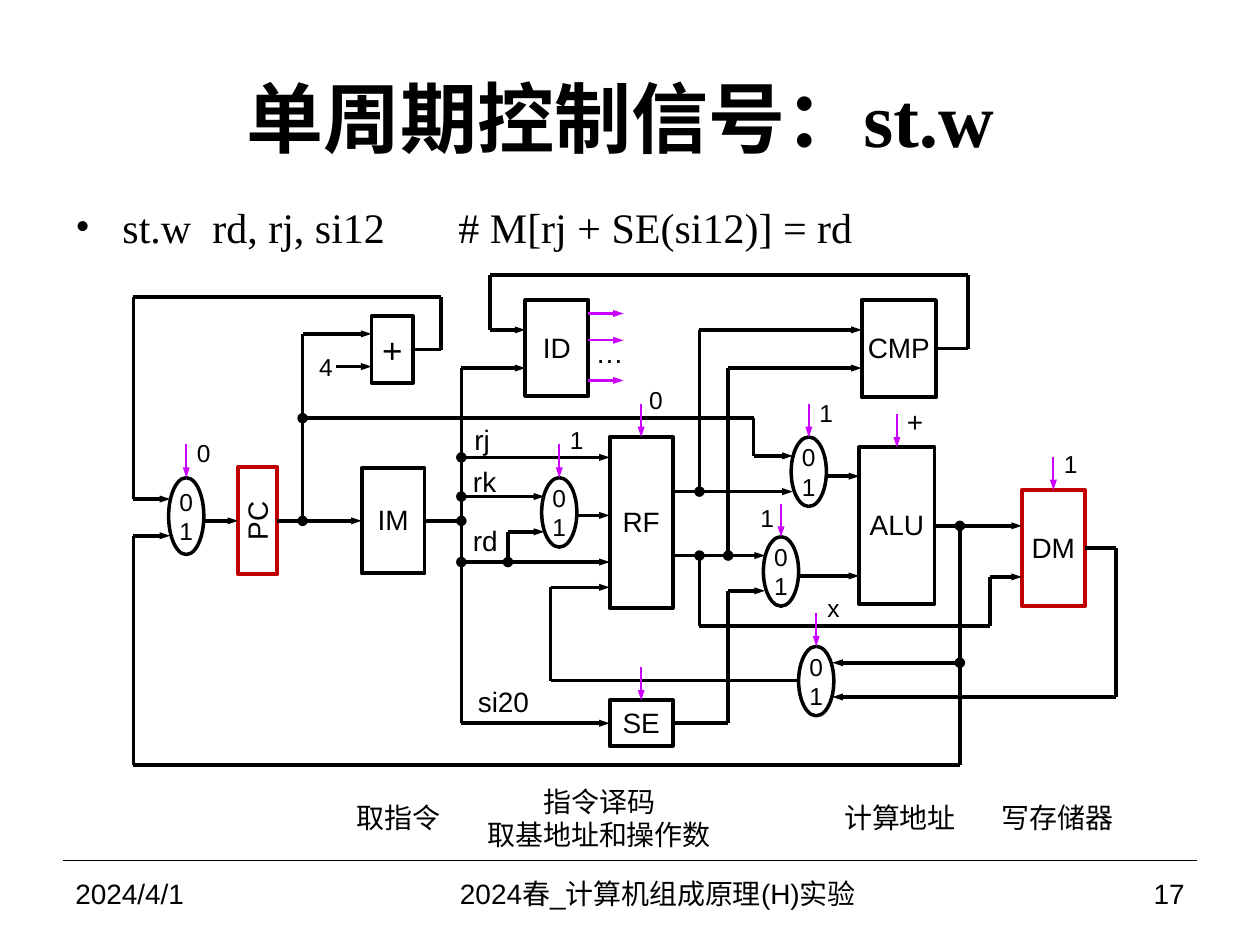
from dataclasses import dataclass
from itertools import pairwise
from typing import Optional

from lxml import etree
from pptx import Presentation
from pptx import util as u
from pptx.dml.color import RGBColor
from pptx.enum import shapes, text
from pptx.oxml.ns import qn

BLACK = RGBColor(0x00, 0x00, 0x00)
STATE_RED = RGBColor(0xC0, 0x00, 0x00)
CONTROL_PURPLE = RGBColor(0xCC, 0x00, 0xFF)
TOP, LEFT, RIGHT = 0, 1, 3
ALIGN = text.PP_ALIGN
ARROW, DOT = "triangle", "oval"


@dataclass
class Part:
    """A block or multiplexer; lengths in cm."""
    name: str
    x: float
    y: float
    w: float
    h: float
    color: RGBColor = BLACK
    size: int = 16


@dataclass
class Wire:
    """A route through points in cm, optionally joined to a part at its ends."""
    points: list[tuple[float, float]]
    start_mark: Optional[str] = None
    end_mark: Optional[str] = ARROW
    source: Optional[str] = None
    target: Optional[str] = None


@dataclass
class Control:
    """A control signal entering a part from above; label offset from its tip."""
    target: str
    value: str = ""
    dx: float = 0.2
    dy: float = -0.8
    size: int = 14


@dataclass
class Label:
    words: str
    x: float
    y: float
    w: float
    size: int = 16
    align: ALIGN = ALIGN.CENTER


BLOCKS = [
    Part("PC", 4.8, 9.42, 0.79, 2.16, STATE_RED),
    Part("IM", 7.29, 9.44, 1.27, 2.12),
    Part("+", 7.49, 6.38, 0.84, 1.34, size=20),
    Part("ID", 10.59, 6.05, 1.27, 1.93),
    Part("RF", 12.29, 8.81, 1.27, 3.45),
    Part("SE", 12.29, 14.12, 1.27, 0.92),
    Part("CMP", 17.37, 6.05, 1.5, 1.96),
    Part("ALU", 17.32, 9.02, 1.52, 3.16),
    Part("DM", 20.6, 9.88, 1.27, 2.34, STATE_RED),
]
MUXES = [
    Part("next PC", 3.4, 9.63, 0.71, 1.55),
    Part("register", 10.92, 9.63, 0.71, 1.4),
    Part("operand A", 15.95, 8.81, 0.71, 1.4),
    Part("operand B", 15.39, 10.82, 0.71, 1.4),
    Part("write back", 16.1, 13.03, 0.71, 1.4),
]
WIRES = [
    # Fetch: next address, PC and instruction memory
    Wire([(8.33, 7.05), (8.89, 7.05), (8.89, 5.99), (2.69, 5.99), (2.69, 10.06), (3.43, 10.06)],
         source="+"),
    Wire([(4.11, 10.5), (4.8, 10.5)], target="PC"),
    Wire([(5.59, 10.5), (7.29, 10.5)], source="PC", target="IM"),
    Wire([(6.1, 10.5), (6.1, 6.73), (7.49, 6.73)], DOT),
    Wire([(6.78, 7.39), (7.49, 7.39)]),
    Wire([(6.1, 8.43), (15.19, 8.43), (15.19, 9.19), (15.98, 9.19)], DOT),
    # Decode: instruction bus and register numbers
    Wire([(8.56, 10.5), (9.3, 10.5)], end_mark=DOT, source="IM"),
    Wire([(9.3, 14.58), (9.3, 7.42), (10.59, 7.42)]),
    Wire([(9.3, 14.58), (12.29, 14.58)], target="SE"),
    Wire([(9.3, 9.22), (12.29, 9.22)], DOT),
    Wire([(9.3, 10.01), (10.97, 10.01)], DOT),
    Wire([(9.3, 11.33), (12.29, 11.33)], DOT),
    Wire([(10.24, 11.33), (10.24, 10.72), (10.97, 10.72)], DOT),
    Wire([(11.63, 10.39), (12.29, 10.39)]),
    # Operands
    Wire([(13.56, 9.91), (15.98, 9.91)]),
    Wire([(14.1, 9.91), (14.1, 6.65), (17.37, 6.65)], DOT),
    Wire([(13.56, 11.2), (15.42, 11.2)]),
    Wire([(14.68, 11.2), (14.68, 7.42), (17.37, 7.42)], DOT),
    Wire([(14.1, 11.2), (14.1, 12.62), (19.96, 12.62), (19.96, 11.63), (20.6, 11.63)], DOT),
    Wire([(13.56, 14.58), (14.68, 14.58), (14.68, 11.91), (15.42, 11.91)], source="SE"),
    Wire([(16.66, 9.6), (17.32, 9.6)]),
    Wire([(16.1, 11.61), (17.32, 11.61)]),
    # Results, write back and branch decision
    Wire([(18.84, 10.6), (20.6, 10.6)], source="ALU"),
    Wire([(19.35, 10.6), (19.35, 15.42), (2.69, 15.42), (2.69, 10.8), (3.43, 10.8)], DOT),
    Wire([(19.35, 13.36), (16.78, 13.36)], DOT),
    Wire([(21.87, 11.05), (22.5, 11.05), (22.5, 14.05), (16.78, 14.05)], source="DM"),
    Wire([(16.1, 13.72), (11.1, 13.72), (11.1, 11.84), (12.29, 11.84)]),
    Wire([(18.87, 7.03), (19.51, 7.03), (19.51, 5.54), (9.88, 5.54), (9.88, 6.65), (10.59, 6.65)],
         source="CMP"),
]
DECODER_OUTPUTS = [Wire([(11.86, y), (12.57, y)]) for y in (6.32, 6.86, 7.67)]
CONTROLS = [
    Control("next PC", "0"), Control("register", "1", dy=-1.07),
    Control("RF", "0", 0.15, -1.06), Control("SE"),
    Control("operand A", "1"), Control("operand B", "1", -0.43, -0.69),
    Control("ALU", "+", dy=-0.87, size=16), Control("DM", "1", dy=-0.84),
    Control("write back", "x", dy=-1.09),
]
LABELS = [
    Label("…", 11.99, 6.76, 0.6), Label("4", 6.43, 7.09, 0.28, 14),
    Label("rj", 9.45, 8.51, 0.54), Label("rk", 9.5, 9.35, 0.54),
    Label("rd", 9.5, 10.54, 0.57), Label("si20", 9.6, 13.79, 1.1),
    Label("取指令", 7.16, 16.13, 1.75), Label("指令译码\n取基地址和操作数", 9.78, 15.8, 4.6),
    Label("计算地址", 16.99, 16.13, 2.31), Label("写存储器", 20.17, 16.13, 2.29),
]
FOOTERS = [
    Label("2024/4/1", 1.27, 17.35, 5.92, align=ALIGN.LEFT),
    Label("2024春_计算机组成原理(H)实验 ", 7.19, 17.35, 12.27),
    Label("17", 19.48, 17.35, 4.65, align=ALIGN.RIGHT),
]


def write(frame, words: str, size: int, align=ALIGN.CENTER, font="Arial", bold=False) -> None:
    frame.text = words
    frame.vertical_anchor = text.MSO_ANCHOR.MIDDLE
    for paragraph in frame.paragraphs:
        paragraph.alignment = align
        for run in paragraph.runs:
            run.font.name, run.font.size, run.font.bold = font, u.Pt(size), bold
            run.font.color.rgb = BLACK


def no_margins(frame) -> None:
    frame.margin_left = frame.margin_right = frame.margin_top = frame.margin_bottom = 0


def draw_part(slide, part: Part, kind, words: str, size: int, width: float):
    shape = slide.shapes.add_shape(kind, *map(u.Cm, (part.x, part.y, part.w, part.h)))
    shape.shadow.inherit = False
    shape.fill.background()
    shape.line.color.rgb, shape.line.width = part.color, u.Pt(width)
    write(shape.text_frame, words, size)
    no_margins(shape.text_frame)
    shape.text_frame.word_wrap = False
    return shape


def draw_line(slide, start, end, color=BLACK, width=2.0, start_mark=None, end_mark=None):
    line = slide.shapes.add_connector(shapes.MSO_CONNECTOR.STRAIGHT, *map(u.Cm, (*start, *end)))
    line.line.color.rgb, line.line.width = color, u.Pt(width)
    for tag, mark in (("a:headEnd", start_mark), ("a:tailEnd", end_mark)):
        if mark:
            etree.SubElement(line.line._get_or_add_ln(), qn(tag), type=mark,
                             w="sm" if mark == ARROW else "med", len="med")
    etree.SubElement(line._element.spPr, qn("a:effectLst"))
    return line


def draw_wire(slide, wire: Wire, drawn: dict, color=BLACK, width=2.0) -> None:
    legs = list(pairwise(wire.points))
    for i, (start, end) in enumerate(legs):
        first, last = i == 0, i == len(legs) - 1
        line = draw_line(slide, start, end, color, width,
                         wire.start_mark if first else None, wire.end_mark if last else None)
        if first and wire.source:
            line.begin_connect(drawn[wire.source], RIGHT)
        if last and wire.target:
            line.end_connect(drawn[wire.target], LEFT)


def draw_label(slide, label: Label, height: Optional[float] = None) -> None:
    """Fits tightly around the words unless a height is given."""
    lines = label.words.count("\n") + 1
    box = slide.shapes.add_textbox(*map(u.Cm, (label.x, label.y, label.w,
                                               height or lines * label.size * 0.043)))
    write(box.text_frame, label.words, label.size, label.align)
    box.text_frame.word_wrap = height is not None
    if height is None:
        no_margins(box.text_frame)


def draw_control(slide, control: Control, part: Part, drawn: dict) -> None:
    x = part.x + part.w / 2
    arrow = draw_line(slide, (x, part.y - 0.67), (x, part.y), CONTROL_PURPLE, 1.25, end_mark=ARROW)
    arrow.end_connect(drawn[part.name], TOP)
    if control.value:
        draw_label(slide, Label(control.value, x + control.dx, part.y + control.dy, 0.3, control.size))


def draw_headings(slide) -> None:
    title = slide.shapes.title
    title.left, title.top, title.width, title.height = map(u.Cm, (1.27, 0.76, 22.86, 3.18))
    write(title.text_frame, "单周期控制信号：st.w ", 44, font="Times New Roman", bold=True)
    syntax = slide.shapes.add_textbox(*map(u.Cm, (1.27, 3.94, 22.86, 1.42))).text_frame
    write(syntax, "st.w  rd, rj, si12       # M[rj + SE(si12)] = rd", 24, ALIGN.LEFT, "Times New Roman")
    syntax.word_wrap, syntax.vertical_anchor = True, text.MSO_ANCHOR.TOP
    syntax.paragraphs[0].space_before = u.Pt(5)
    props = syntax.paragraphs[0]._p.get_or_add_pPr()
    props.set("marL", str(u.Cm(0.95)))
    props.set("indent", str(-u.Cm(0.95)))
    etree.SubElement(props, qn("a:buFont"), typeface="Times New Roman")
    etree.SubElement(props, qn("a:buChar"), char="•")


def main() -> None:
    deck = Presentation()
    deck.slide_width, deck.slide_height = u.Cm(25.4), u.Cm(19.05)
    slide = deck.slides.add_slide(deck.slide_layouts[5])
    draw_headings(slide)

    # Blocks and multiplexers
    drawn = {}
    for block in BLOCKS:
        drawn[block.name] = draw_part(slide, block, shapes.MSO_SHAPE.RECTANGLE, block.name, block.size, 2.25)
        if block.name != "+":
            caption = drawn[block.name].text_frame.paragraphs[0]
            caption.line_spacing, caption.space_before = u.Pt(18), u.Pt(6)
    drawn["PC"].text_frame._txBody.bodyPr.set("vert", "vert270")
    for mux in MUXES:
        drawn[mux.name] = draw_part(slide, mux, shapes.MSO_SHAPE.OVAL, "0\n1", 14, 2)

    # Data paths and control signals
    for wire in WIRES:
        draw_wire(slide, wire, drawn)
    for output in DECODER_OUTPUTS:
        draw_wire(slide, output, drawn, CONTROL_PURPLE, 1.25)
    parts = {part.name: part for part in BLOCKS + MUXES}
    for control in CONTROLS:
        draw_control(slide, control, parts[control.target], drawn)

    # Labels and footer
    for label in LABELS:
        draw_label(slide, label)
    draw_line(slide, (1.27, 17.35), (24.13, 17.35), width=0.75)
    for footer in FOOTERS:
        draw_label(slide, footer, 1.32)
    deck.save("out.pptx")


if __name__ == "__main__":
    main()
